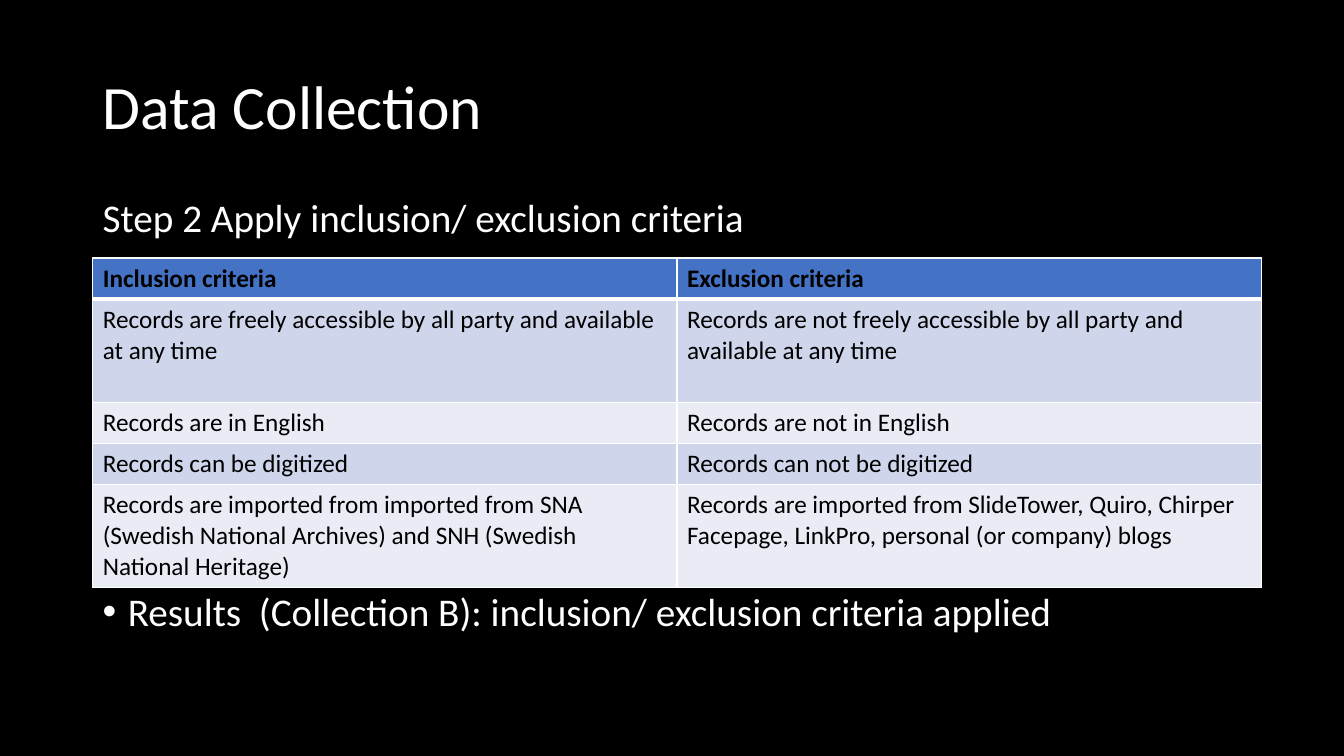
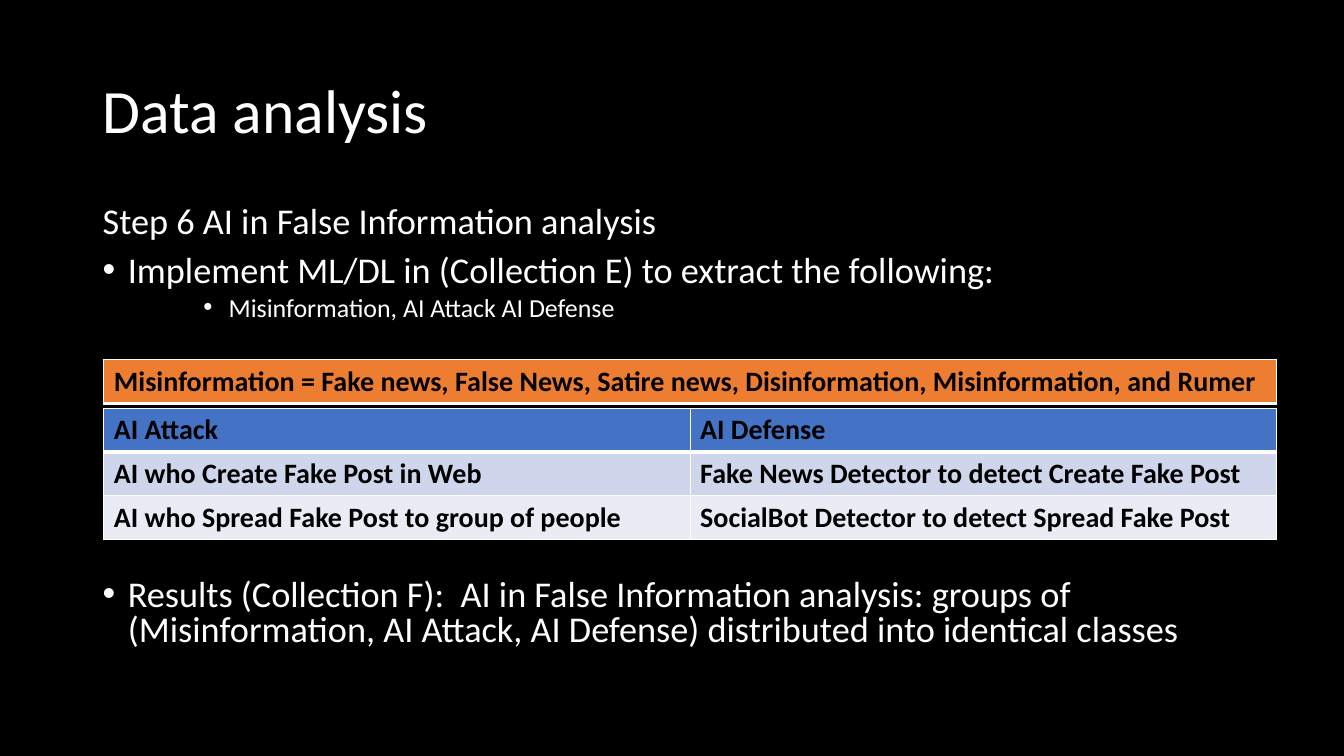
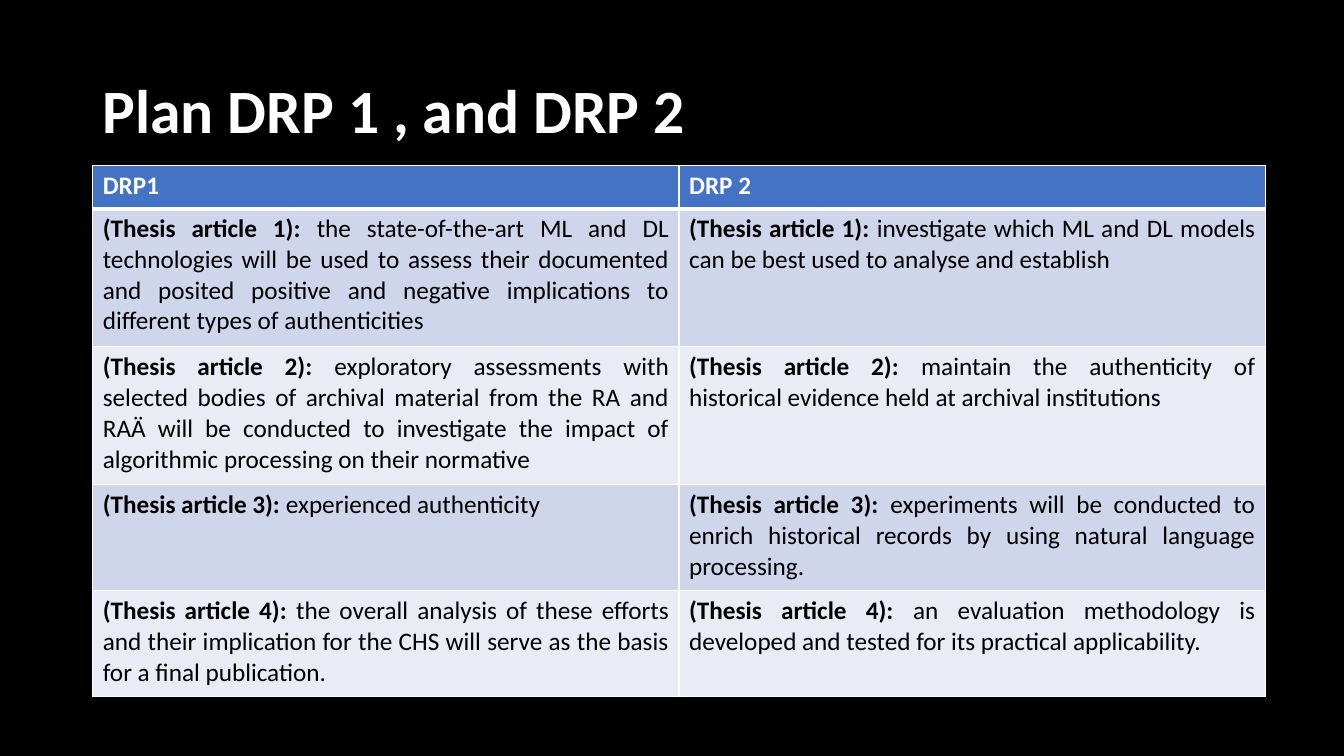
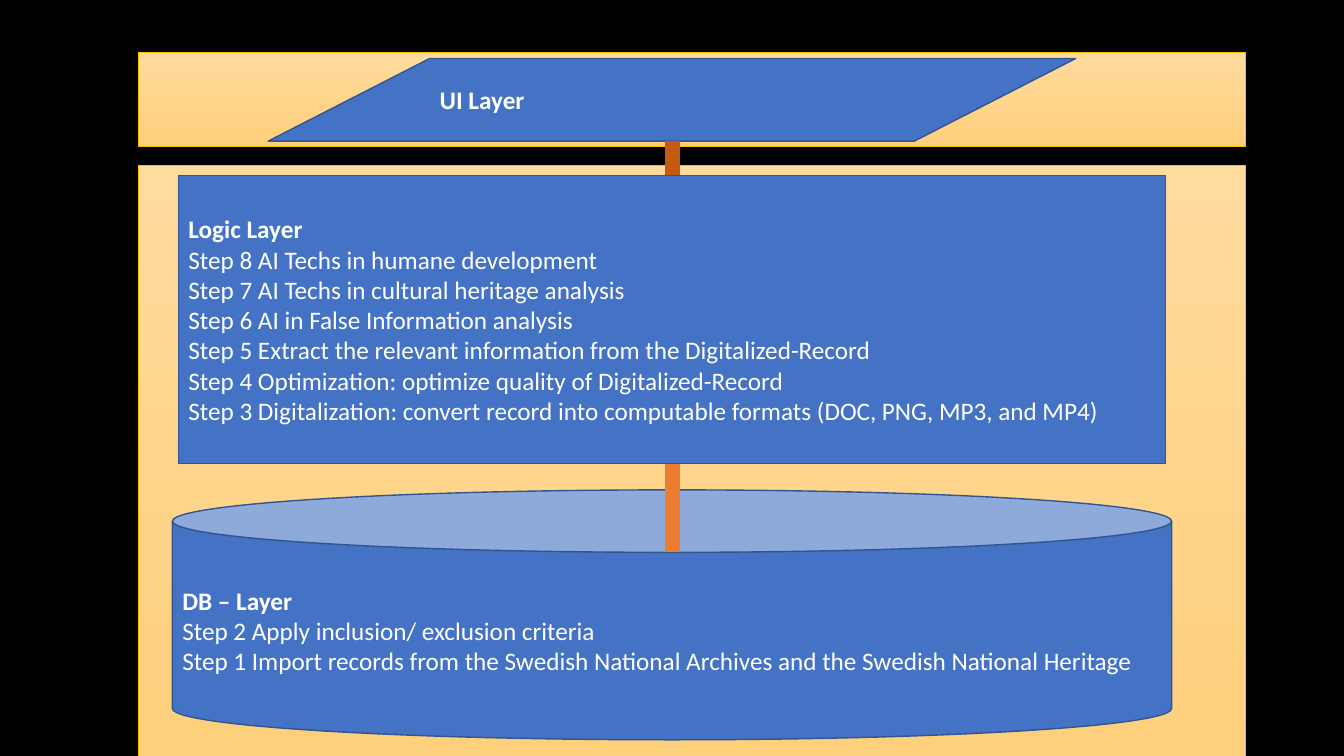
from dataclasses import dataclass

from lxml.etree import SubElement
from pptx import Presentation
from pptx.dml.color import RGBColor
from pptx.enum.shapes import MSO_CONNECTOR, MSO_SHAPE
from pptx.enum.text import MSO_ANCHOR, PP_ALIGN
from pptx.oxml.ns import qn
from pptx.util import Inches, Pt


@dataclass(frozen=True)
class Theme:
    font: str = "Calibri"
    black: str = "000000"
    white: str = "FFFFFF"
    blue: str = "4472C4"
    edge: str = "325491"
    orange: str = "ED7D31"
    rust: str = "C55A11"
    gold: str = "FFC000"
    bands: tuple = ("CFD5EA", "E9EBF5")
    glow: tuple = ("FFDB9E", "FFD07C")
    title: float = 44
    lead: float = 28
    body: float = 25.9
    minor: float = 18.5
    cell: float = 18
    large: float = 20


THEME = Theme()
LEFT, WIDTH = 0.92, 11.5


def rgb(code):
    return RGBColor.from_string(code)


def style(para, size, color, bold=False):
    for run in para.runs:
        font = run.font
        font.name, font.size, font.bold = THEME.font, Pt(size), bold
        font.color.rgb = rgb(color)


# Slides and text

def add_slide(deck, title, top=0.4, bold=False):
    slide = deck.slides.add_slide(deck.slide_layouts[6])
    slide.background.fill.solid()
    slide.background.fill.fore_color.rgb = rgb(THEME.black)
    if title:
        frame = add_box(slide, top, 1.45)
        frame.vertical_anchor = MSO_ANCHOR.MIDDLE
        add_line(frame, title, THEME.title, bold=bold)
    return slide


def add_box(slide, top, height):
    box = slide.shapes.add_textbox(
        Inches(LEFT), Inches(top), Inches(WIDTH), Inches(height))
    box.text_frame.word_wrap = True
    return box.text_frame


def add_line(frame, text, size, space=0.9, before=0, indent=0, bold=False):
    """Write the next paragraph; an indent gives it a bullet."""
    first = frame.paragraphs[0]
    para = frame.add_paragraph() if first.runs else first
    para.text = text
    if indent:
        props = para._p.get_or_add_pPr()
        props.set("marL", str(Inches(indent)))
        props.set("indent", str(-Inches(0.25)))
        SubElement(props, qn("a:buFont"), typeface="Arial")
        SubElement(props, qn("a:buChar"), char="•")
    para.line_spacing = space
    para.space_before = Pt(before)
    style(para, size, THEME.white, bold)


# Tables

def add_edges(cell, heavy):
    """Draw white borders, with thick ones on the sides in heavy."""
    props = cell._tc.get_or_add_tcPr()
    for side in "LRTB":
        width = Pt(3 if side in heavy else 1)
        line = SubElement(props, qn("a:ln" + side), w=str(width))
        fill = SubElement(line, qn("a:solidFill"))
        SubElement(fill, qn("a:srgbClr"), val=THEME.white)


def add_grid(slide, spot, width, heights, rows, size, head=THEME.black,
             fill=THEME.blue, bold=False, align=None):
    """Draw a table; a cell is a text or a pair of bold lead and text."""
    count = len(rows[0])
    table = slide.shapes.add_table(
        len(rows), count, *map(Inches, (*spot, width, sum(heights)))).table
    for col in table.columns:
        col.width = Inches(width / count)
    for i, (height, row) in enumerate(zip(heights, rows)):
        table.rows[i].height = Inches(height)
        for j, item in enumerate(row):
            cell = table.cell(i, j)
            add_edges(cell, {0: "B", 1: "T"}.get(i, ""))
            cell.fill.solid()
            cell.fill.fore_color.rgb = rgb(THEME.bands[(i - 1) % 2] if i else fill)
            para = cell.text_frame.paragraphs[0]
            para.alignment = align
            parts = (item,) if isinstance(item, str) else item
            for part in parts:
                para.add_run().text = part
            style(para, size, THEME.black if i else head, bold or i == 0)
            if len(parts) > 1:
                para.runs[0].font.bold = True


# Diagram parts

def add_block(slide, kind, spot, lines=(), edge=THEME.edge, weight=1):
    """Draw a layer, whose first line is bold; without lines, a panel."""
    shape = slide.shapes.add_shape(kind, *map(Inches, spot))
    shape.shadow.inherit = False
    shape.line.color.rgb = rgb(edge)
    shape.line.width = Pt(weight)
    if not lines:
        shape.fill.gradient()
        shape.fill.gradient_angle = 270
        for stop, color in zip(shape.fill.gradient_stops, THEME.glow):
            stop.color.rgb = rgb(color)
        return
    shape.fill.solid()
    shape.fill.fore_color.rgb = rgb(THEME.blue)
    frame = shape.text_frame
    frame.text = "\n".join(lines)
    frame.vertical_anchor = MSO_ANCHOR.MIDDLE
    for i, para in enumerate(frame.paragraphs):
        para.alignment = PP_ALIGN.LEFT
        style(para, THEME.cell, THEME.white, i == 0)


def add_link(slide, start, end, color, weight):
    x = Inches(6.67)
    link = slide.shapes.add_connector(
        MSO_CONNECTOR.STRAIGHT, x, Inches(start), x, Inches(end))
    link.line.color.rgb = rgb(color)
    link.line.width = Pt(weight)
    SubElement(link._element.spPr, qn("a:effectLst"))


# The four slides

def show_rules(deck):
    slide = add_slide(deck, "Data Collection", top=0.36)
    add_line(add_box(slide, 1.92, 0.55),
             "Step 2 Apply inclusion/ exclusion criteria", THEME.lead)
    add_line(add_box(slide, 5.83, 0.55),
             "Results  (Collection B): inclusion/ exclusion criteria applied",
             THEME.lead, indent=0.25)
    rows = [
        ("Inclusion criteria", "Exclusion criteria"),
        ("Records are freely accessible by all party and available at any time",
         "Records are not freely accessible by all party and available at any time"),
        ("Records are in English", "Records are not in English"),
        ("Records can be digitized", "Records can not be digitized"),
        ("Records are imported from imported from SNA (Swedish National "
         "Archives) and SNH (Swedish National Heritage)",
         "Records are imported from SlideTower, Quiro, Chirper Facepage, "
         "LinkPro, personal (or company) blogs"),
    ]
    add_grid(slide, (LEFT, 2.56), 11.59, (0.41, 1.02, 0.41, 0.41, 1.02),
             rows, THEME.cell)


def show_study(deck):
    slide = add_slide(deck, "Data analysis")
    frame = add_box(slide, 2, 1.4)
    add_line(frame, "Step 6 AI in False Information analysis", THEME.body, 0.8)
    add_line(frame, "Implement ML/DL in (Collection E) to extract the following:",
             THEME.body, 0.8, before=10, indent=0.25)
    add_line(frame, "Misinformation, AI Attack AI Defense",
             THEME.minor, 0.8, before=5, indent=1.25)
    add_line(add_box(slide, 5.7, 0.9),
             "Results (Collection F):  AI in False Information analysis: groups of "
             "(Misinformation, AI Attack, AI Defense) distributed into identical "
             "classes", THEME.body, 0.8, indent=0.25)
    rows = [
        ("AI Attack", "AI Defense"),
        ("AI who Create Fake Post in Web",
         "Fake News Detector to detect Create Fake Post"),
        ("AI who Spread Fake Post to group of people",
         "SocialBot Detector to detect Spread Fake Post"),
    ]
    add_grid(slide, (1.03, 4.05), 11.63, [0.43] * 3, rows, THEME.large, bold=True)
    kinds = ("Misinformation = Fake news, False News, Satire news, "
             "Disinformation, Misinformation, and Rumer")
    add_grid(slide, (1.03, 3.57), 11.63, [0.43], [(kinds,)], THEME.large,
             fill=THEME.orange)


def show_plan(deck):
    slide = add_slide(deck, "Plan DRP 1 , and DRP 2", bold=True)
    goals = [
        ("the state-of-the-art ML and DL technologies will be used to assess "
         "their documented and posited positive and negative implications to "
         "different types of authenticities",
         "investigate which ML and DL models can be best used to analyse and "
         "establish"),
        ("exploratory assessments with selected bodies of archival material from "
         "the RA and RAÄ will be conducted to investigate the impact of "
         "algorithmic processing on their normative",
         "maintain the authenticity of historical evidence held at archival "
         "institutions"),
        ("experienced authenticity",
         "experiments will be conducted to enrich historical records by using "
         "natural language processing."),
        ("the overall analysis of these efforts and their implication for the "
         "CHS will serve as the basis for a final publication.",
         "an evaluation methodology is developed and tested for its practical "
         "applicability."),
    ]
    rows = [("DRP1", "DRP 2")]
    for i, pair in enumerate(goals, 1):
        rows.append([(f"(Thesis article {i}): ", goal) for goal in pair])
    add_grid(slide, (LEFT, 1.64), 11.63, (0.43, 1.37, 1.37, 1.05, 1.05), rows,
             THEME.cell, head=THEME.white, align=PP_ALIGN.JUSTIFY)


def show_layers(deck):
    slide = add_slide(deck, None)
    for top, height in ((0.52, 0.93), (1.64, 5.86)):
        add_block(slide, MSO_SHAPE.RECTANGLE, (1.37, top, 10.98, height),
                  edge=THEME.gold, weight=0.5)
    add_block(slide, MSO_SHAPE.CAN, (1.71, 4.86, 9.91, 2.48), (
        "DB – Layer",
        "Step 2 Apply inclusion/ exclusion criteria",
        "Step 1 Import records from the Swedish National Archives and the "
        "Swedish National Heritage"))
    add_block(slide, MSO_SHAPE.RECTANGLE, (1.77, 1.74, 9.79, 2.86), (
        "Logic Layer",
        "Step 8 AI Techs in humane development",
        "Step 7 AI Techs in cultural heritage analysis",
        "Step 6 AI in False Information analysis",
        "Step 5 Extract the relevant information from the Digitalized-Record",
        "Step 4 Optimization: optimize quality of Digitalized-Record",
        "Step 3 Digitalization: convert record into computable formats "
        "(DOC, PNG, MP3, and MP4)"))
    add_block(slide, MSO_SHAPE.FLOWCHART_DATA, (2.66, 0.58, 8.01, 0.82),
              ("UI Layer",))
    add_link(slide, 4.6, 5.48, THEME.orange, 11.25)
    add_link(slide, 1.74, 1.4, THEME.rust, 11)


def main():
    deck = Presentation()
    deck.slide_width, deck.slide_height = Inches(13.33), Inches(7.5)
    for show in (show_rules, show_study, show_plan, show_layers):
        show(deck)
    deck.save("out.pptx")


if __name__ == "__main__":
    main()
